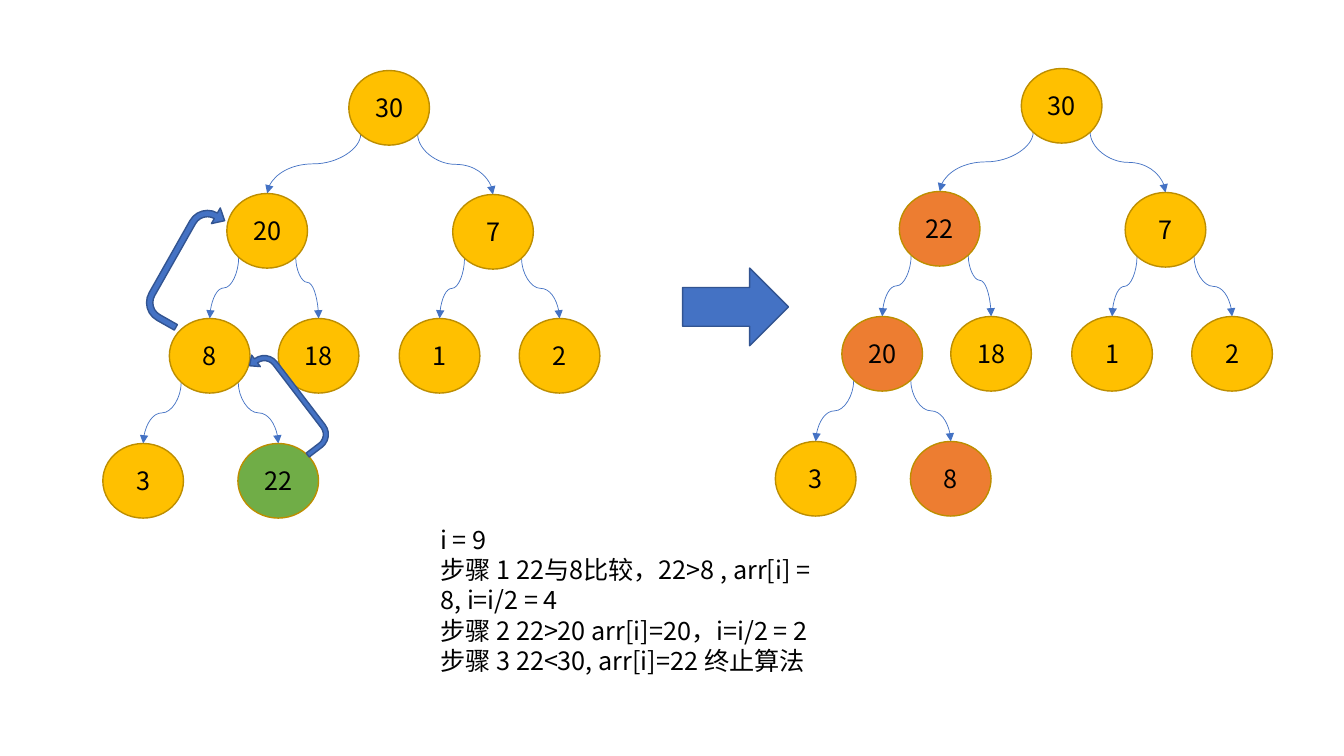
from lxml.etree import SubElement
from pptx import Presentation
from pptx.dml.color import RGBColor
from pptx.enum.shapes import MSO_CONNECTOR, MSO_SHAPE
from pptx.enum.text import MSO_ANCHOR, MSO_AUTO_SIZE, PP_ALIGN
from pptx.oxml.ns import qn
from pptx.util import Inches, Pt

COLORS = {
    "node": "FFC000", "node_edge": "BD8E00", "moved": "ED7D31",
    "inserted": "70AD47", "arrow": "4472C4", "arrow_edge": "325491",
    "text": "000000",
}
FONT = "Noto Sans CJK SC"
NODE_W, NODE_H = 0.8, 0.74
DIAGONAL = 0.5 ** 0.5

# Node offsets in heap order: the children of node i are 2i + 1 and 2i + 2.
HEAP_OFFSETS = [
    (2.44, 0),
    (1.23, 1.22), (3.47, 1.23),
    (0.66, 2.46), (1.74, 2.46), (2.94, 2.46), (4.13, 2.46),
    (0, 3.7), (1.34, 3.7),
]
BENDS = {4: 0.41}  # edges, by child index, that do not bend halfway

STEPS = [
    "i = 9",
    "步骤 1 22与8比较，22>8 , arr[i] = 8, i=i/2 = 4",
    "步骤 2 22>20 arr[i]=20，i=i/2 = 2",
    "步骤 3 22<30, arr[i]=22 终止算法",
]


def color(name):
    """Return the palette colour with this name."""
    return RGBColor.from_string(COLORS[name])


def write_text(frame, lines, size=18, align=PP_ALIGN.LEFT,
               anchor=MSO_ANCHOR.TOP, fill="text"):
    """Write one paragraph per line into a text frame."""
    frame.word_wrap = True
    frame.vertical_anchor = anchor
    for index, line in enumerate(lines):
        paragraph = frame.paragraphs[0] if index == 0 else frame.add_paragraph()
        paragraph.alignment = align
        run = paragraph.add_run()
        run.text = line
        run.font.size = Pt(size)
        run.font.name = FONT
        run.font.color.rgb = color(fill)
        SubElement(run.font._element, qn("a:ea"), typeface=FONT)


def add_preset(slide, preset, box, fill, edge):
    """Add a flat preset shape in a (left, top, width, height) box."""
    shape = slide.shapes.add_shape(preset, *map(Inches, box))
    shape.shadow.inherit = False
    shape.fill.solid()
    shape.fill.fore_color.rgb = color(fill)
    shape.line.color.rgb = color(edge)
    shape.line.width = Pt(1)
    return shape


def add_node(slide, left, top, value, fill):
    """Add one heap node with its value."""
    node = add_preset(slide, MSO_SHAPE.OVAL, (left, top, NODE_W, NODE_H),
                      fill, "node_edge")
    write_text(node.text_frame, [str(value)], align=PP_ALIGN.CENTER,
               anchor=MSO_ANCHOR.MIDDLE)


def add_edge(slide, parent, child, bend):
    """Curve from the parent's lower diagonal to the top of the child."""
    side = 1 if child[0] > parent[0] else -1
    start_x = parent[0] + NODE_W / 2 * (1 + side * DIAGONAL)
    start_y = parent[1] + NODE_H / 2 * (1 + DIAGONAL)
    end_x, end_y = child[0] + NODE_W / 2, child[1]
    mid_x, mid_y = (start_x + end_x) / 2, (start_y + end_y) / 2
    # The quarter turn makes the curve leave vertically, so the axes swap.
    half_w, half_h = (end_y - start_y) / 2, abs(end_x - start_x) / 2
    ends = (mid_x + side * half_w, mid_y - half_h,
            mid_x - side * half_w, mid_y + half_h)
    edge = slide.shapes.add_connector(MSO_CONNECTOR.CURVE, *map(Inches, ends))
    edge.line.color.rgb = color("arrow")
    edge.line.width = Pt(0.5)
    SubElement(edge.line._get_or_add_ln(), qn("a:tailEnd"), type="triangle")
    properties = edge._element.spPr
    SubElement(properties, qn("a:effectLst"))
    turn = 270 if side > 0 else 90
    properties.find(qn("a:xfrm")).set("rot", str(turn * 60000))
    guides = properties.find(qn("a:prstGeom")).get_or_add_avLst()
    SubElement(guides, qn("a:gd"), name="adj1", fmla=f"val {round(bend * 100000)}")


def add_heap(slide, left, top, values, highlights):
    """Draw a heap; highlights maps a node index to its fill."""
    places = [(left + x, top + y) for x, y in HEAP_OFFSETS]
    for index in range(1, len(places)):
        add_edge(slide, places[(index - 1) // 2], places[index],
                 BENDS.get(index, 0.5))
    for index, (place, value) in enumerate(zip(places, values)):
        add_node(slide, *place, value, highlights.get(index, "node"))


def add_swap_arrow(slide, box, rotation, flipped=False):
    """Add a U-turn arrow that shows a value moving up the heap."""
    arrow = add_preset(slide, MSO_SHAPE.U_TURN_ARROW, box, "arrow", "arrow_edge")
    for index, value in enumerate((0.157, 0.223, 0.25, 0.5, 0.75)):
        arrow.adjustments[index] = value
    arrow.rotation = rotation
    if flipped:
        arrow._element.spPr.find(qn("a:xfrm")).set("flipV", "1")


def add_steps(slide, box):
    """Write the steps of the sift-up below the heaps."""
    steps = slide.shapes.add_textbox(*map(Inches, box))
    write_text(steps.text_frame, STEPS)
    steps.text_frame.auto_size = MSO_AUTO_SIZE.SHAPE_TO_FIT_TEXT


def build_sift_up_slide(presentation):
    """Show the heap before and after sifting up the value 22."""
    slide = presentation.slides.add_slide(presentation.slide_layouts[6])
    add_heap(slide, 7.69, 0.68, [30, 22, 7, 20, 18, 1, 2, 3, 8],
             dict.fromkeys((1, 3, 8), "moved"))
    add_preset(slide, MSO_SHAPE.RIGHT_ARROW, (6.77, 2.66, 1.05, 0.77),
               "arrow", "arrow_edge")
    add_steps(slide, (4.27, 5.15, 4.07, 1.62))
    add_heap(slide, 1.02, 0.7, [30, 20, 7, 8, 18, 1, 2, 3, 22],
             {8: "inserted"})
    add_swap_arrow(slide, (2.27, 3.82, 1.15, 0.32), 232.6, flipped=True)
    add_swap_arrow(slide, (1.23, 2.42, 1.28, 0.4), 299.5)


presentation = Presentation()
presentation.slide_width = Inches(13.33)
presentation.slide_height = Inches(7.5)
build_sift_up_slide(presentation)
presentation.save("out.pptx")
